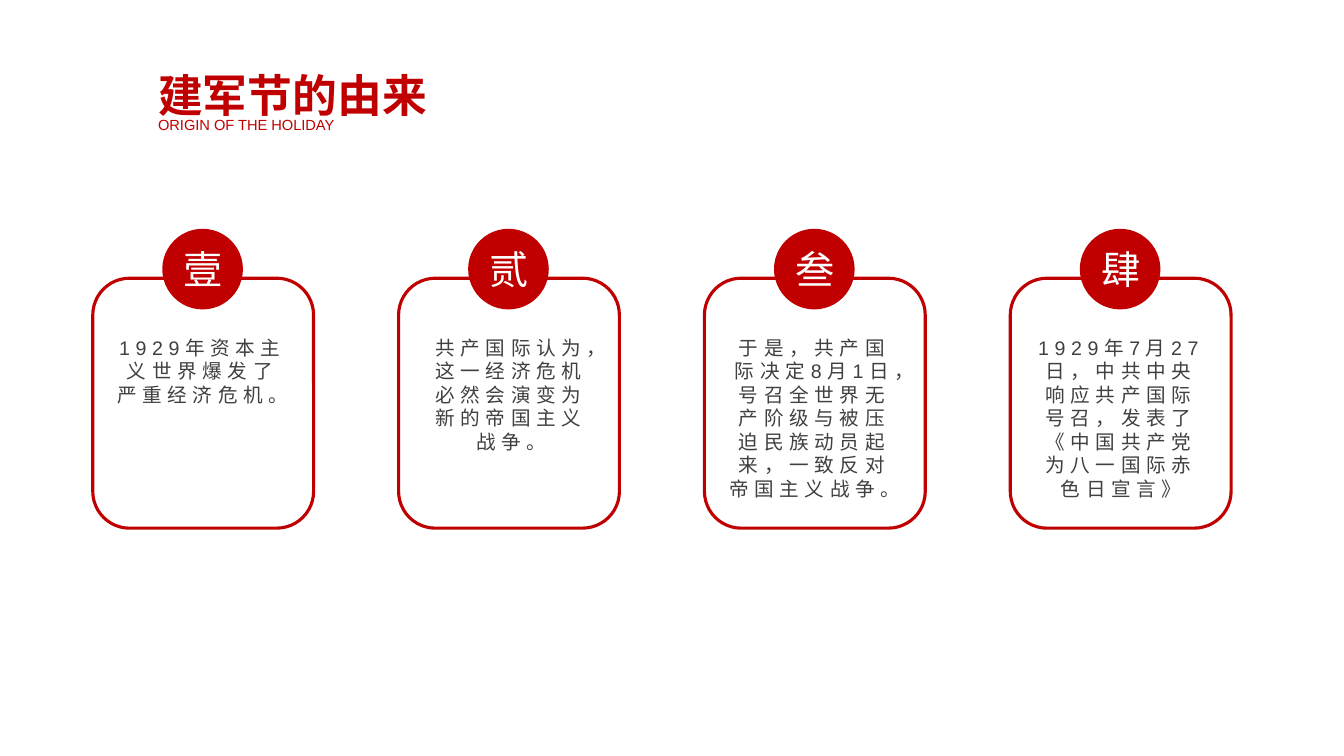
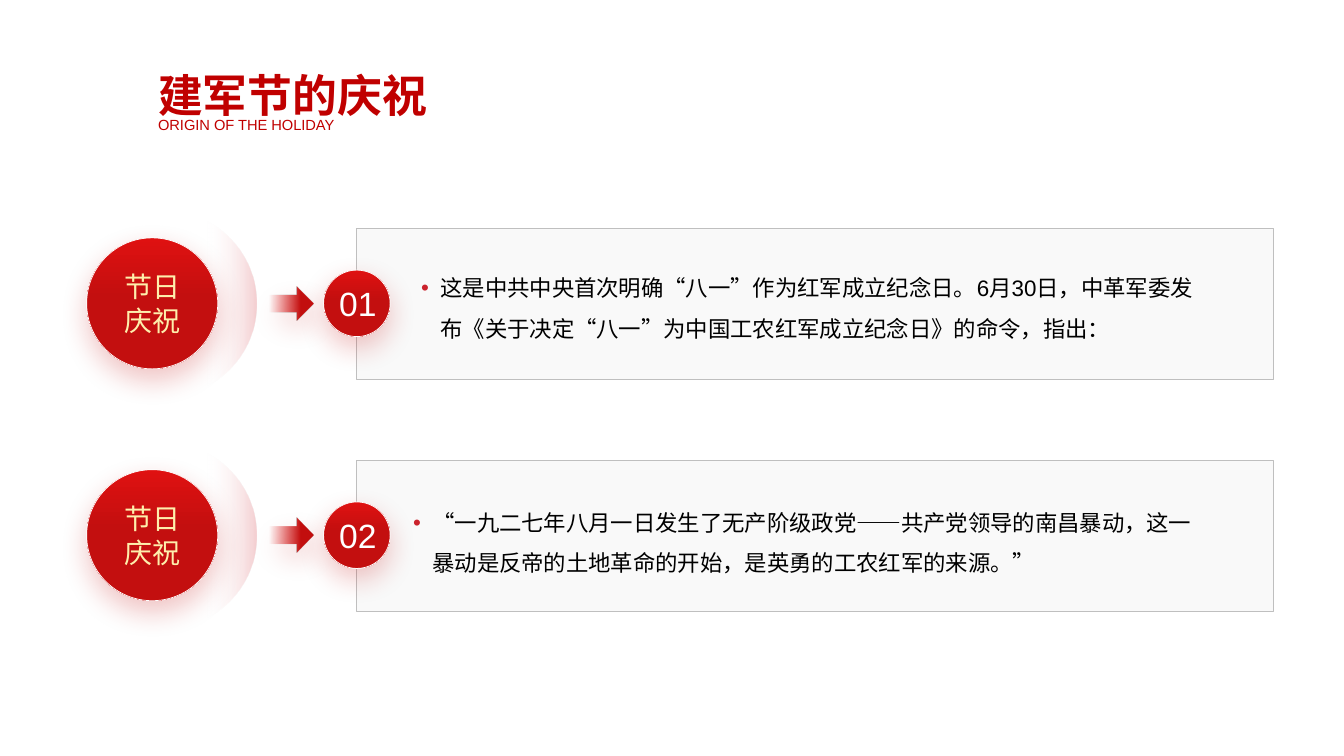
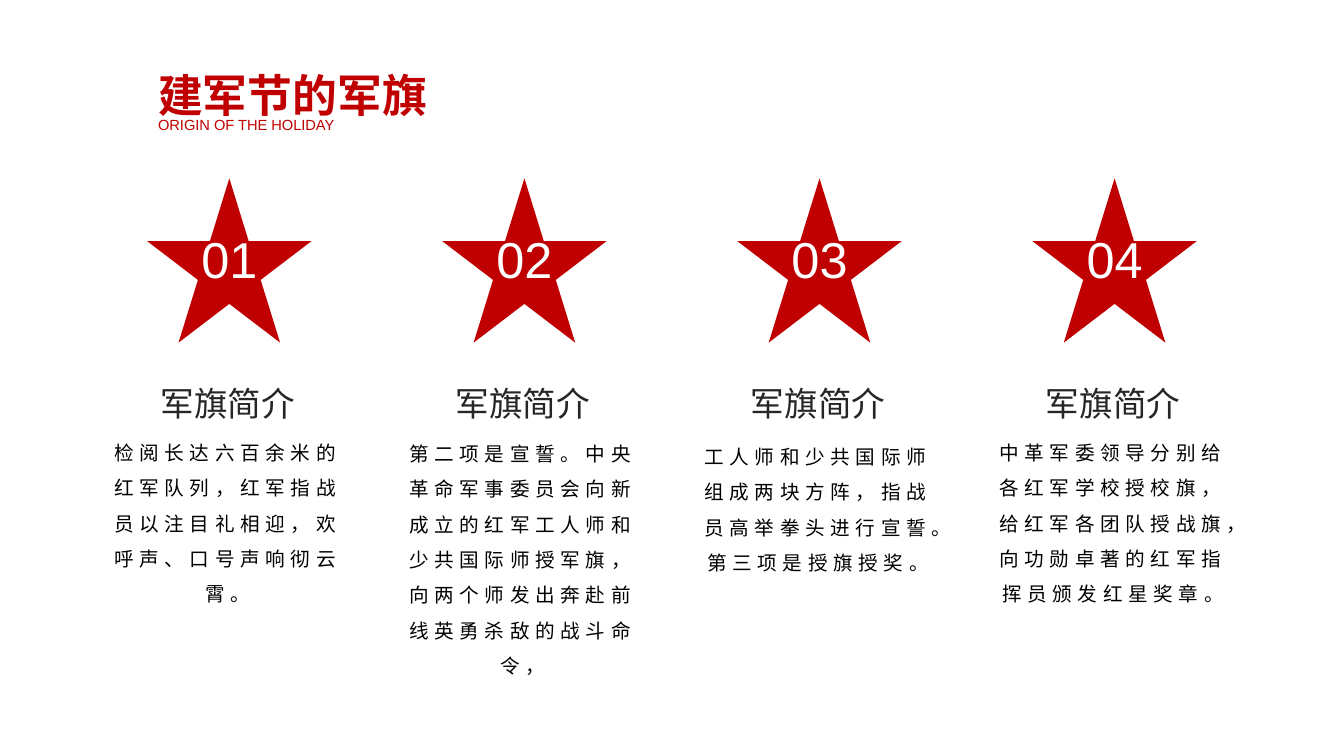
"""Build three slides on the origin, celebration and flags of Army Day."""
import pptx
import pptx.dml.color
import pptx.enum.lang
import pptx.enum.shapes
import pptx.enum.text
import pptx.oxml.ns
import pptx.util
from lxml import etree

Inches = pptx.util.Inches
Pt = pptx.util.Pt
qn = pptx.oxml.ns.qn
SHAPE = pptx.enum.shapes.MSO_SHAPE
ALIGN = pptx.enum.text.PP_ALIGN

FONT = "Arial"
RED = "C00000"
WHITE = "FFFFFF"
BLACK = "000000"
BALL_FILL = [("DF1111", 0, 100), ("C30F0F", 45, 100)]
ARROW_FILL = [("DF1111", 0, 0), ("C30F0F", 71, 100)]
HALO_FILL = [("FDF3F4", 73, 0), ("CB232D", 100, 22)]
GOLD = [("FEEFAC", 49, 100), ("E9BE61", 100, 100)]


def paint(fill, color, angle=0):
    """Fill with a hex colour, or with (colour, position, opacity) stops."""
    stops = [(color, 0, 100)] if isinstance(color, str) else color
    if len(stops) == 1:
        fill.solid()
        fill.fore_color.rgb = pptx.dml.color.RGBColor.from_string(stops[0][0])
    else:
        fill.gradient()
        fill.gradient_angle = 360 - angle
        for stop, (value, position, opacity) in zip(fill.gradient_stops, stops):
            stop.color.rgb = pptx.dml.color.RGBColor.from_string(value)
            stop.position = position / 100
    elements = fill._xPr.xpath("./a:solidFill/a:srgbClr | ./a:gradFill/a:gsLst/a:gs/a:srgbClr")
    for element, (value, position, opacity) in zip(elements, stops):
        if opacity < 100:
            etree.SubElement(element, qn("a:alpha"), val=str(opacity * 1000))


def place(slide, kind, box, text="", size=14, color=BLACK, fill=None, line=None, width=1,
          angle=0, glow=False, align=ALIGN.CENTER, bold=False, spread=0, spacing=None,
          bullet=False, side_margin=0.1):
    """Add a preset shape, or a text box when kind is None."""
    lengths = [Inches(value) for value in box]
    if kind is None:
        shape = slide.shapes.add_textbox(*lengths)
        shape.text_frame.auto_size = pptx.enum.text.MSO_AUTO_SIZE.SHAPE_TO_FIT_TEXT
    else:
        shape = slide.shapes.add_shape(kind, *lengths)
        shape.shadow.inherit = False
        shape.text_frame.vertical_anchor = pptx.enum.text.MSO_ANCHOR.MIDDLE
        if fill:
            paint(shape.fill, fill, angle)
        else:
            shape.fill.background()
        if line:
            paint(shape.line.fill, line)
            shape.line.width = Pt(width)
        else:
            shape.line.fill.background()
    if glow:
        effects = shape._element.spPr.find(qn("a:effectLst"))
        shadow = etree.SubElement(effects, qn("a:outerShdw"), blurRad=str(Pt(20)),
                                  dist=str(Pt(8)), dir="5400000", algn="t", rotWithShape="0")
        tint = etree.SubElement(shadow, qn("a:srgbClr"), val="C30F0F")
        etree.SubElement(tint, qn("a:alpha"), val="23000")
    if not text:
        return
    frame = shape.text_frame
    frame.word_wrap = True
    frame.margin_left = frame.margin_right = Inches(side_margin)
    frame.text = text
    for paragraph in frame.paragraphs:
        paragraph.alignment = align
        if bullet:
            properties = paragraph._p.get_or_add_pPr()
            properties.set("marL", str(Inches(0.3)))
            properties.set("indent", str(Inches(-0.19)))
            bullet_color = etree.SubElement(properties, qn("a:buClr"))
            etree.SubElement(bullet_color, qn("a:srgbClr"), val="CB232D")
            etree.SubElement(properties, qn("a:buFont"), typeface=FONT)
            etree.SubElement(properties, qn("a:buChar"), char="•")
        if spacing:
            paragraph.line_spacing = spacing
        font = paragraph.font
        font.name = FONT
        font.size = Pt(size)
        font.bold = bold
        font.language_id = pptx.enum.lang.MSO_LANGUAGE_ID.SIMPLIFIED_CHINESE
        paint(font.fill, color, 90)
        if spread:
            font._element.set("spc", str(spread * 100))


presentation = pptx.Presentation()
presentation.slide_width = Inches(13.33)
presentation.slide_height = Inches(7.5)

slides = []
for title in ["建军节的由来", "建军节的庆祝", "建军节的军旗"]:
    slide = presentation.slides.add_slide(presentation.slide_layouts[6])
    place(slide, None, (1.47, 0.62, 3.74, 0.64), title, 32, RED, bold=True, align=ALIGN.JUSTIFY)
    place(slide, None, (1.47, 1.1, 3.94, 0.28), "ORIGIN OF THE HOLIDAY", 10.5, RED,
          align=ALIGN.JUSTIFY)
    slides.append(slide)
origin_slide, celebration_slide, flag_slide = slides

origins = [
    ("壹", 1.04, 0.81, "1929年资本主义世界爆发了严重经济危机。"),
    ("贰", 4.1, 1.28, "共产国际认为，这一经济危机必然会演变为新的帝国主义战争。"),
    ("叁", 7.11, 1.75, "于是，共产国际决定8月1日，号召全世界无产阶级与被压迫民族动员起来，一致反对帝国主义战争。"),
    ("肆", 10.15, 1.75, "1929年7月27日，中共中央响应共产国际号召，发表了《中国共产党为八一国际赤色日宣言》"),
]
origin_pitch = (10.02 - 0.92) / 3
for index, (numeral, text_left, text_height, text) in enumerate(origins):
    left = 0.92 + origin_pitch * index
    place(origin_slide, SHAPE.ROUNDED_RECTANGLE, (left, 2.76, 2.19, 2.48), line=RED, width=2.25)
    place(origin_slide, SHAPE.OVAL, (left + 0.69, 2.27, 0.8, 0.8), numeral, 28, WHITE, fill=RED)
    place(origin_slide, None, (text_left, 3.28, 1.94, text_height), text, 14, "404040", spread=4)

celebrations = [
    ("01", 3.97, 2.54, "这是中共中央首次明确“八一”作为红军成立纪念日。6月30日，中革军委发布《关于决定“八一”为中国工农红军成立纪念日》的命令，指出："),
    ("02", 3.89, 4.87, "“一九二七年八月一日发生了无产阶级政党——共产党领导的南昌暴动，这一暴动是反帝的土地革命的开始，是英勇的工农红军的来源。”"),
]
for index, (number, text_left, text_top, text) in enumerate(celebrations):
    top = 2.27 + 2.3 * index
    place(celebration_slide, SHAPE.RECTANGLE, (3.54, top, 9.09, 1.5),
          fill=[("D9D9D9", 0, 15)], line="BFBFBF", width=0.75)
    place(celebration_slide, SHAPE.OVAL, (0.7, top - 0.18, 1.84, 1.84), fill=HALO_FILL)
    place(celebration_slide, SHAPE.OVAL, (0.86, top + 0.09, 1.3, 1.3), "节日\n庆祝", 20, GOLD,
          fill=BALL_FILL, angle=90, line=WHITE, width=0.5, glow=True, side_margin=0)
    place(celebration_slide, None, (text_left, text_top, 8.06, 0.91), text, 16,
          align=ALIGN.LEFT, spacing=1.5, bullet=True)
    place(celebration_slide, SHAPE.RIGHT_ARROW, (2.67, top + 0.57, 0.44, 0.34),
          fill=ARROW_FILL, glow=True)
    place(celebration_slide, SHAPE.OVAL, (3.21, top + 0.41, 0.66, 0.66),
          fill=BALL_FILL, angle=90, line=WHITE, width=0.5, glow=True)
    place(celebration_slide, None, (3.23, top + 0.49, 0.64, 0.5), number, 24, WHITE)

flags = [
    (4.21, 1.87, "检阅长达六百余米的红军队列，红军指战员以注目礼相迎，欢呼声、口号声响彻云霄。"),
    (4.22, 2.57, "第二项是宣誓。中央革命军事委员会向新成立的红军工人师和少共国际师授军旗，向两个师发出奔赴前线英勇杀敌的战斗命令，"),
    (4.25, 1.51, "工人师和少共国际师组成两块方阵，指战员高举拳头进行宣誓。第三项是授旗授奖。"),
    (4.21, 1.87, "中革军委领导分别给各红军学校授校旗，给红军各团队授战旗，向功勋卓著的红军指挥员颁发红星奖章。"),
]
flag_pitch = (9.76 - 0.98) / 3
for index, (text_top, text_height, text) in enumerate(flags):
    left = 0.98 + flag_pitch * index
    place(flag_slide, SHAPE.STAR_5_POINT, (left + 0.48, 1.77, 1.63, 1.63), fill=RED)
    place(flag_slide, None, (left + 0.89, 2.21, 0.81, 0.71), f"{index + 1:02}", 36, WHITE)
    place(flag_slide, None, (left, text_top, 2.56, text_height), text, 14, spread=4, spacing=1.5)
    place(flag_slide, None, (left + 0.4, 3.75, 1.76, 0.5), "军旗简介", 24, "262626")

presentation.save("out.pptx")
